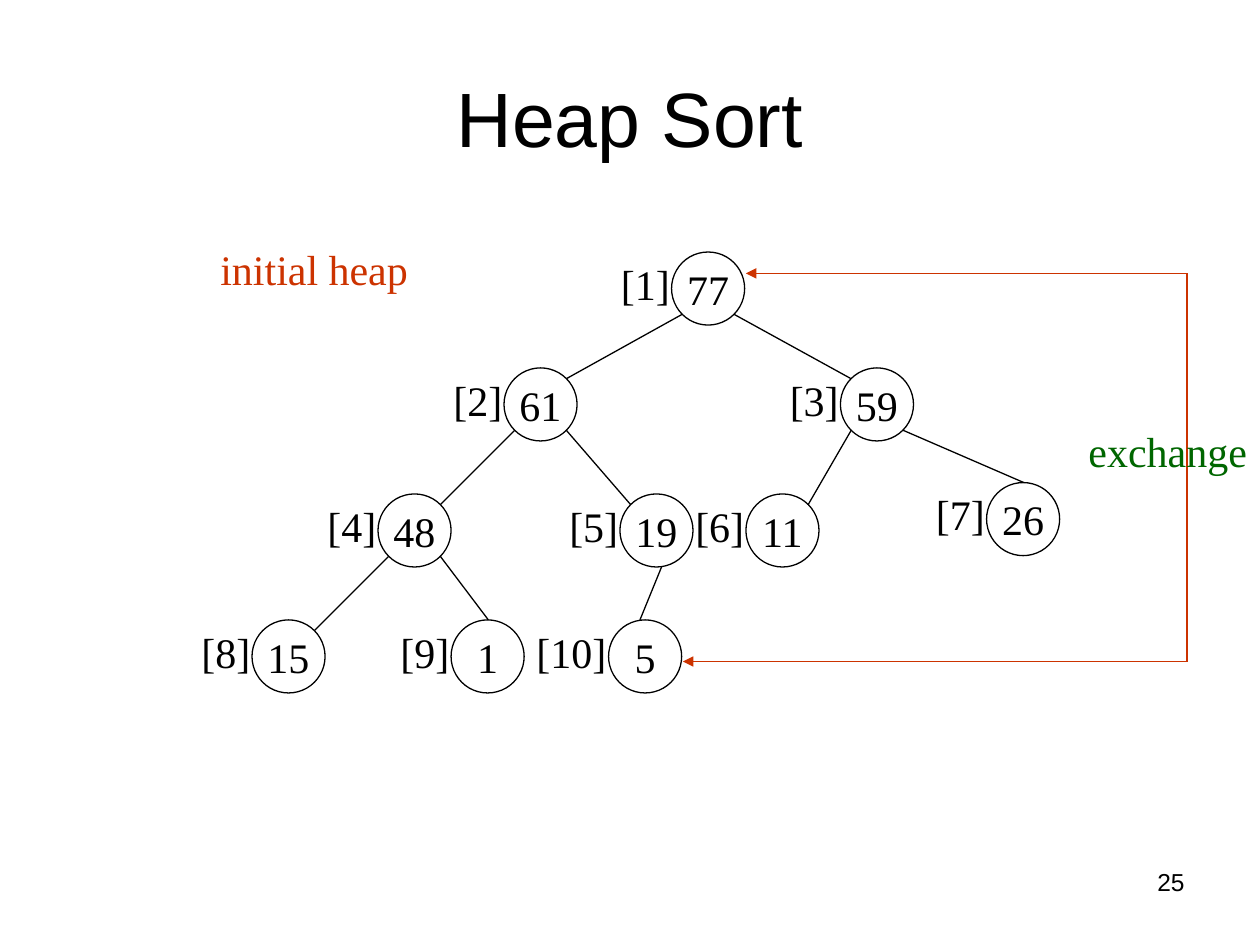
import pptx
import pptx.util
from pptx.dml.color import RGBColor
from pptx.enum.shapes import MSO_CONNECTOR, MSO_SHAPE
from pptx.enum.text import MSO_ANCHOR, MSO_AUTO_SIZE, PP_ALIGN
from pptx.oxml.ns import qn
from lxml import etree

Inches = pptx.util.Inches
Pt = pptx.util.Pt

BLACK = RGBColor(0x00, 0x00, 0x00)
RED = RGBColor(0xCC, 0x33, 0x00)
GREEN = RGBColor(0x00, 0x66, 0x00)
SERIF, SANS = "Times New Roman", "Arial"

DIAMETER = 0.58
LABEL_OVERLAP = 0.1

HEAP = [
    (77, 5.33, 2),
    (61, 4, 2.92),
    (59, 6.67, 2.92),
    (48, 3, 3.92),
    (19, 4.92, 3.92),
    (11, 5.92, 3.92),
    (26, 7.83, 3.83),
    (15, 2, 4.92),
    (1, 3.58, 4.92),
    (5, 4.83, 4.92),
]

LOWER_LEFT, LOWER_RIGHT = (0.15, 0.85), (0.85, 0.85)
UPPER_LEFT, UPPER_RIGHT, TOP = (0.15, 0.15), (0.85, 0.15), (0.51, 0)
CHILD_ANCHORS = {7: TOP, 9: TOP, 10: (0.43, 0)}
PARENT_ANCHORS = {10: (0.57, 1)}

EXCHANGE_X, EXCHANGE_TOP, EXCHANGE_BOTTOM = 9.42, 2.17, 5.25
EXCHANGE_LINES = [
    ((EXCHANGE_X, EXCHANGE_BOTTOM), (5.42, EXCHANGE_BOTTOM), True),
    ((EXCHANGE_X, EXCHANGE_BOTTOM), (EXCHANGE_X, EXCHANGE_TOP), False),
    ((EXCHANGE_X, EXCHANGE_TOP), (5.92, EXCHANGE_TOP), True),
]


def write(sp, text, size=24, font=SERIF, color=BLACK, align=PP_ALIGN.LEFT,
          anchor=MSO_ANCHOR.TOP, wrap=False):
    tf = sp.text_frame
    tf.text = text
    tf.word_wrap = wrap
    tf.vertical_anchor = anchor
    p = tf.paragraphs[0]
    p.alignment = align
    r = p.runs[0]
    r.font.size = Pt(size)
    r.font.name = font
    r.font.color.rgb = color


def add_text(s, box, text, wrap=False, **style):
    sp = s.shapes.add_textbox(*map(Inches, box))
    write(sp, text, wrap=wrap, **style)
    if not wrap:
        sp.text_frame.auto_size = MSO_AUTO_SIZE.SHAPE_TO_FIT_TEXT


def add_line(s, start, end, color=BLACK, arrow=False):
    sp = s.shapes.add_connector(MSO_CONNECTOR.STRAIGHT, *map(Inches, start + end))
    sp.line.color.rgb = color
    sp.line.width = Pt(0.75)
    if arrow:
        etree.SubElement(sp.line._get_or_add_ln(), qn("a:tailEnd"), type="triangle")
    etree.SubElement(sp._element.spPr, qn("a:effectLst"))


def add_node(s, index, value, x, y):
    sp = s.shapes.add_shape(MSO_SHAPE.OVAL, *map(Inches, (x, y, DIAMETER, DIAMETER)))
    sp.shadow.inherit = False
    sp.fill.background()
    sp.line.color.rgb = BLACK
    sp.line.width = Pt(0.75)
    write(sp, str(value), align=PP_ALIGN.CENTER, anchor=MSO_ANCHOR.MIDDLE)
    width = 0.6 if index < 10 else 0.77
    add_text(s, (x + LABEL_OVERLAP - width, y, width, 0.5), f"[{index}]")


def node_point(index, anchor):
    _, x, y = HEAP[index - 1]
    return x + anchor[0] * DIAMETER, y + anchor[1] * DIAMETER


def add_edge(s, child):
    is_left = child % 2 == 0
    start = PARENT_ANCHORS.get(child, LOWER_LEFT if is_left else LOWER_RIGHT)
    end = CHILD_ANCHORS.get(child, UPPER_RIGHT if is_left else UPPER_LEFT)
    add_line(s, node_point(child // 2, start), node_point(child, end))


def main():
    prs = pptx.Presentation()
    prs.slide_width, prs.slide_height = Inches(10), Inches(7.5)
    s = prs.slides.add_slide(prs.slide_layouts[6])

    for index, (value, x, y) in enumerate(HEAP, 1):
        add_node(s, index, value, x, y)
    for child in range(2, len(HEAP) + 1):
        add_edge(s, child)

    add_text(s, (1.65, 1.88, 1.69, 0.5), "initial heap", color=RED)
    for start, end, arrow in EXCHANGE_LINES:
        add_line(s, start, end, RED, arrow)
    add_text(s, (8.54, 3.33, 1.46, 0.5), "exchange", color=GREEN)

    add_text(s, (0.5, 0.3, 9, 1.25), "Heap Sort", size=44, font=SANS,
             align=PP_ALIGN.CENTER, anchor=MSO_ANCHOR.MIDDLE, wrap=True)
    add_text(s, (7.17, 6.83, 2.33, 0.52), "25", size=14, font=SANS,
             align=PP_ALIGN.RIGHT, wrap=True)
    prs.save("out.pptx")


if __name__ == "__main__":
    main()
